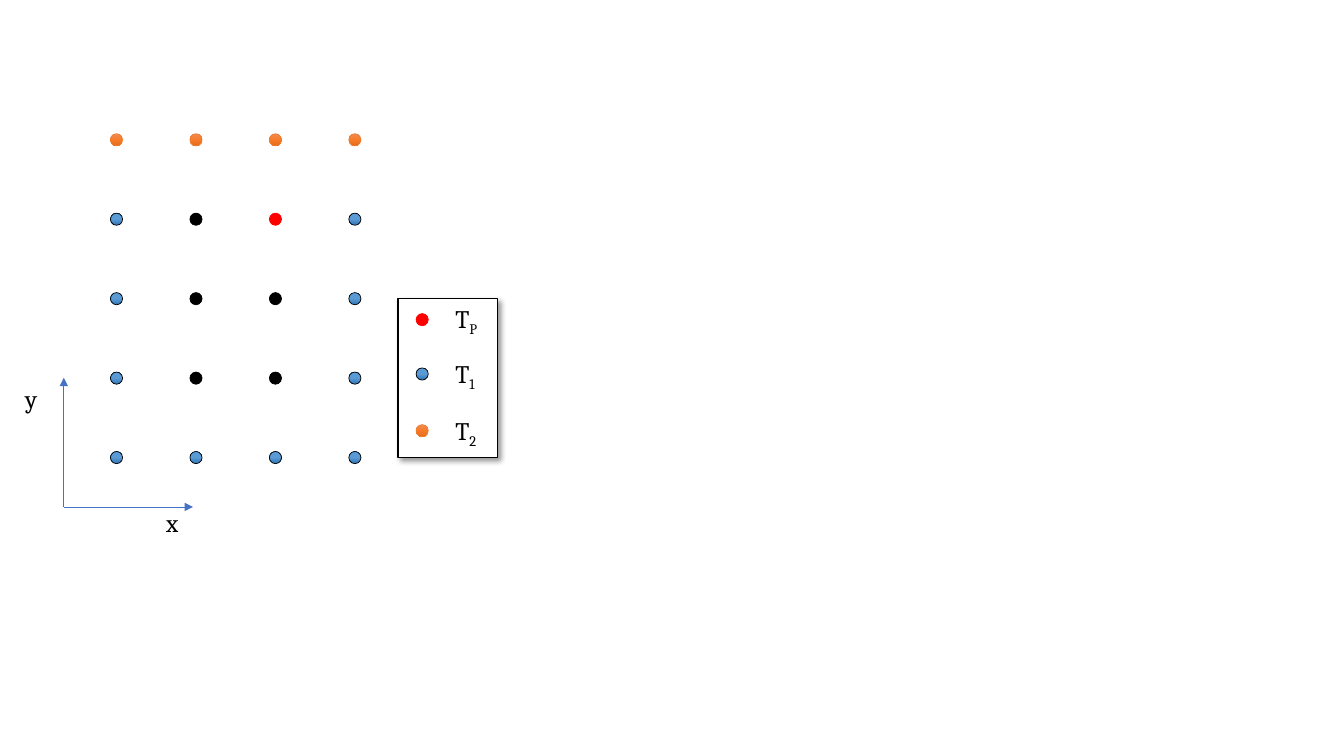
from copy import deepcopy

from lxml.etree import SubElement
from pptx import Presentation
from pptx.dml.color import RGBColor
from pptx.enum.shapes import MSO_CONNECTOR as Connector, MSO_SHAPE as Shape
from pptx.enum.text import MSO_AUTO_SIZE as AutoSize
from pptx.oxml.ns import qn
from pptx.util import Pt

BLACK = RGBColor(0x00, 0x00, 0x00)
WHITE = RGBColor(0xFF, 0xFF, 0xFF)
RED = RGBColor(0xFF, 0x00, 0x00)
ORANGE = RGBColor(0xED, 0x7D, 0x31)
AXIS_BLUE = RGBColor(0x44, 0x72, 0xC4)
BLUE_STOPS = (RGBColor(0x2E, 0x75, 0xB6), RGBColor(0x5B, 0x9B, 0xD5), RGBColor(0x5B, 0x9B, 0xD5))
ORANGE_STOPS = (RGBColor(0xF1, 0x8C, 0x57), RGBColor(0xF6, 0x7B, 0x28), RGBColor(0xE5, 0x6C, 0x19))

NODE_STYLES = {
    "2": (ORANGE_STOPS, ORANGE),
    "1": (BLUE_STOPS, BLACK),
    "P": ((RED,), RED),
    "i": ((BLACK,), BLACK),
}
MESH = ["2222", "1iP1", "1ii1", "1ii1", "1111"]
LEGEND = [("P", 224, 213.1), ("1", 262.8, 252.2), ("2", 303.3, 292.9)]
AXES = [("y", (0, -1), (10.8, 270)), ("x", (1, 0), (111.6, 358.6))]

FONT = "Cambria"
DOT = 8.7
PITCH = 56.75
MESH_LEFT, MESH_TOP = 78.9, 95.5
ORIGIN_X, ORIGIN_Y, AXIS_LENGTH = 45.6, 362.1, 92.2
LEGEND_BOX = (284.4, 213.2, 71, 113.6)
LEGEND_DOT_LEFT, LEGEND_TEXT_LEFT = 297.2, 318.2


def place(shapes, kind, left, top, width, height):
    shape = shapes.add_shape(kind, Pt(left), Pt(top), Pt(width), Pt(height))
    shape.shadow.inherit = False
    return shape


def add_node(shapes, style, left, top):
    colours, outline = NODE_STYLES[style]
    node = place(shapes, Shape.OVAL, left, top, DOT, DOT)
    if len(colours) == 1:
        node.fill.solid()
        node.fill.fore_color.rgb = colours[0]
    else:
        node.fill.gradient()
        gradient = node._element.spPr.find(qn("a:gradFill"))
        stops = gradient.find(qn("a:gsLst"))
        stops.append(deepcopy(stops[0]))
        for stop, colour, position in zip(node.fill.gradient_stops, colours, (0, 0.5, 1)):
            stop.color.rgb = colour
            stop.position = position
        direction = gradient.find(qn("a:lin"))
        if colours is BLUE_STOPS:
            gradient.remove(direction)
        else:
            direction.set("ang", "5400000")
    node.line.color.rgb = outline
    node.line.width = Pt(0.5)


def add_label(shapes, left, top, width, text, subscript=""):
    label = shapes.add_textbox(Pt(left), Pt(top), Pt(width), Pt(29))
    frame = label.text_frame
    frame.word_wrap = True
    frame.auto_size = AutoSize.SHAPE_TO_FIT_TEXT
    for part, baseline in ((text, None), (subscript, "-25000")):
        if part:
            run = frame.paragraphs[0].add_run()
            run.text = part
            run.font.name = FONT
            run.font.size = Pt(18)
            run.font.color.rgb = BLACK
            if baseline:
                run._r.get_or_add_rPr().set("baseline", baseline)


def add_axis(shapes, direction):
    end_x = ORIGIN_X + direction[0] * AXIS_LENGTH
    end_y = ORIGIN_Y + direction[1] * AXIS_LENGTH
    axis = shapes.add_connector(
        Connector.STRAIGHT, Pt(ORIGIN_X), Pt(ORIGIN_Y), Pt(end_x), Pt(end_y))
    axis.line.color.rgb = AXIS_BLUE
    axis.line.width = Pt(0.5)
    SubElement(axis.line._get_or_add_ln(), qn("a:tailEnd"), type="triangle")
    SubElement(axis._element.spPr, qn("a:effectLst"))


def add_legend(shapes):
    legend = shapes.add_group_shape().shapes
    box = place(legend, Shape.RECTANGLE, *LEGEND_BOX)
    box.fill.solid()
    box.fill.fore_color.rgb = WHITE
    box.line.color.rgb = BLACK
    box.line.width = Pt(1)
    effects = box._element.spPr.find(qn("a:effectLst"))
    shadow = SubElement(effects, qn("a:outerShdw"), blurRad=str(Pt(4)), dist=str(Pt(3)),
                        dir="2700000", algn="tl", rotWithShape="0")
    tint = SubElement(shadow, qn("a:srgbClr"), val=str(BLACK))
    SubElement(tint, qn("a:alpha"), val="40000")
    for subscript, dot_top, text_top in LEGEND:
        add_node(legend, subscript, LEGEND_DOT_LEFT, dot_top)
        add_label(legend, LEGEND_TEXT_LEFT, text_top, 44, "T", subscript)


def main():
    deck = Presentation()
    deck.slide_width, deck.slide_height = Pt(960), Pt(540)
    shapes = deck.slides.add_slide(deck.slide_layouts[6]).shapes
    for row, styles in enumerate(MESH):
        for column, style in enumerate(styles):
            add_node(shapes, style, MESH_LEFT + column * PITCH, MESH_TOP + row * PITCH)
    for name, direction, (left, top) in AXES:
        add_axis(shapes, direction)
        add_label(shapes, left, top, 24, name)
    add_legend(shapes)
    deck.save("out.pptx")


if __name__ == "__main__":
    main()
